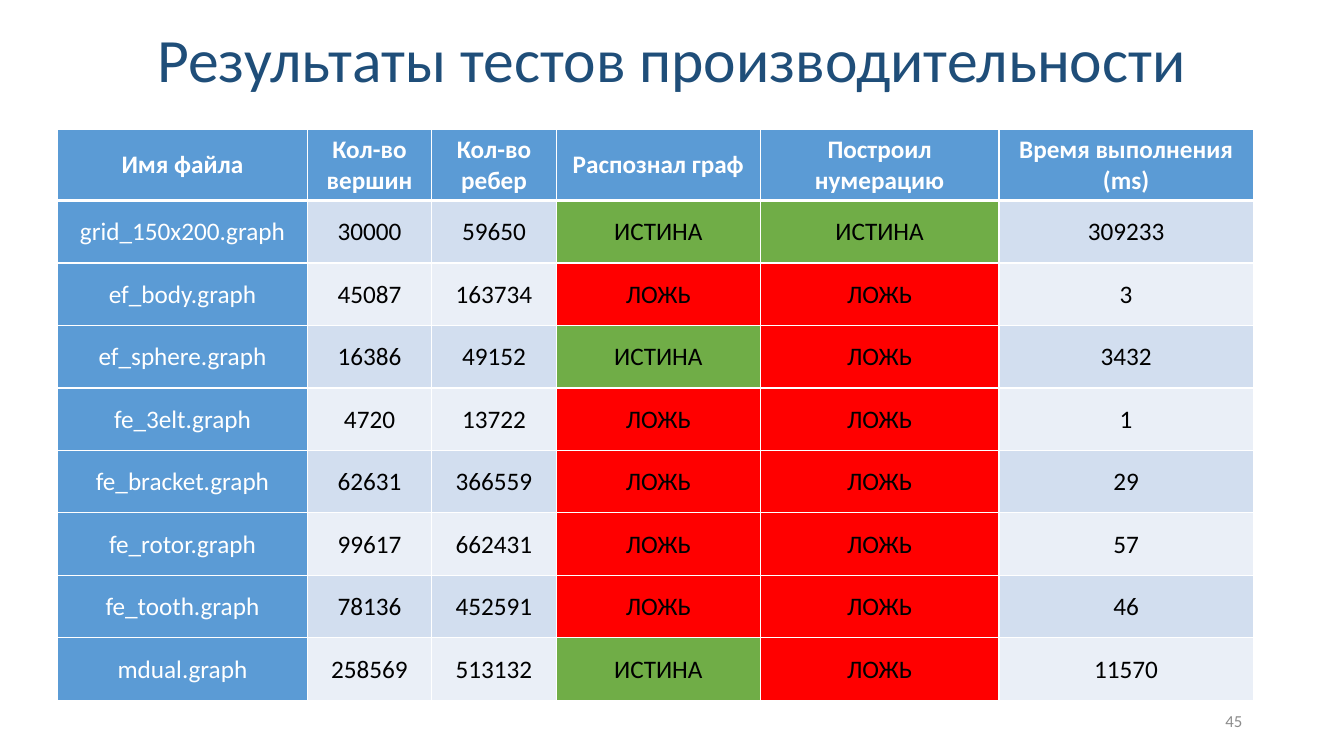
import lxml.etree
import pptx
import pptx.dml.color
import pptx.enum.text
import pptx.oxml.ns
import pptx.util

Inches = pptx.util.Inches
Pt = pptx.util.Pt
ALIGN = pptx.enum.text.PP_ALIGN
MIDDLE = pptx.enum.text.MSO_ANCHOR.MIDDLE
COLORS = {
    "title": "1F4E79",
    "header": "5B9BD5",
    "odd": "D2DEEF",
    "even": "EAEFF7",
    "ИСТИНА": "70AD47",
    "ЛОЖЬ": "FF0000",
    "white": "FFFFFF",
    "black": "000000",
    "page": "8C8C8C",
}


def style_text(paragraph, size, color, align, bold=False):
    paragraph.alignment = align
    paragraph.font.name = "Calibri"
    paragraph.font.size = Pt(size)
    paragraph.font.bold = bold
    paragraph.font.color.rgb = pptx.dml.color.RGBColor.from_string(COLORS[color])


def add_border(cell, side, width):
    qn = pptx.oxml.ns.qn
    properties = cell._tc.get_or_add_tcPr()
    line = lxml.etree.SubElement(properties, qn(f"a:ln{side}"), w=str(Pt(width)))
    fill = lxml.etree.SubElement(line, qn("a:solidFill"))
    lxml.etree.SubElement(fill, qn("a:srgbClr"), val=COLORS["white"])


presentation = pptx.Presentation()
presentation.slide_width = Inches(13.33)
presentation.slide_height = Inches(7.5)
slide = presentation.slides.add_slide(presentation.slide_layouts[5])

title = slide.shapes.title
title.left, title.top = Inches(0), Inches(0.22)
title.width, title.height = Inches(13.33), Inches(0.8)
title.text_frame.text = "Результаты тестов производительности"
title.text_frame.vertical_anchor = MIDDLE
title.text_frame.paragraphs[0].line_spacing = 0.9
style_text(title.text_frame.paragraphs[0], 44, "title", ALIGN.CENTER)

results = [
    ["Имя файла", "Кол-во вершин", "Кол-во ребер", "Распознал граф",
     "Построил нумерацию", "Время выполнения (ms)"],
    ["grid_150x200.graph", "30000", "59650", "ИСТИНА", "ИСТИНА", "309233"],
    ["ef_body.graph", "45087", "163734", "ЛОЖЬ", "ЛОЖЬ", "3"],
    ["ef_sphere.graph", "16386", "49152", "ИСТИНА", "ЛОЖЬ", "3432"],
    ["fe_3elt.graph", "4720", "13722", "ЛОЖЬ", "ЛОЖЬ", "1"],
    ["fe_bracket.graph", "62631", "366559", "ЛОЖЬ", "ЛОЖЬ", "29"],
    ["fe_rotor.graph", "99617", "662431", "ЛОЖЬ", "ЛОЖЬ", "57"],
    ["fe_tooth.graph", "78136", "452591", "ЛОЖЬ", "ЛОЖЬ", "46"],
    ["mdual.graph", "258569", "513132", "ИСТИНА", "ЛОЖЬ", "11570"],
]
column_widths = [2.48, 1.23, 1.24, 2.02, 2.37, 2.52]
benchmark = slide.shapes.add_table(
    len(results), len(column_widths),
    Inches(0.57), Inches(1.28), Inches(11.84), Inches(5.67)).table
for column, width in zip(benchmark.columns, column_widths):
    column.width = Inches(width)

for row_index, values in enumerate(results):
    is_header = row_index == 0
    benchmark.rows[row_index].height = Inches(0.71 if is_header else 0.62)
    band = "odd" if row_index % 2 else "even"
    for column_index, value in enumerate(values):
        is_label = is_header or column_index == 0
        cell = benchmark.cell(row_index, column_index)
        cell.text = value
        cell.vertical_anchor = MIDDLE
        cell.margin_left = cell.margin_right = cell.margin_top = Inches(0.01)
        cell.margin_bottom = Inches(0)
        style_text(cell.text_frame.paragraphs[0], 18,
                   "white" if is_label else "black", ALIGN.CENTER, is_header)
        add_border(cell, "L", 1)
        add_border(cell, "R", 1)
        add_border(cell, "T", 3 if row_index == 1 else 1)
        add_border(cell, "B", 3 if is_header else 1)
        fill_color = COLORS["header"] if is_label else COLORS.get(value, COLORS[band])
        cell.fill.solid()
        cell.fill.fore_color.rgb = pptx.dml.color.RGBColor.from_string(fill_color)

page_number = slide.shapes.add_textbox(
    Inches(9.42), Inches(6.95), Inches(3), Inches(0.4)).text_frame
page_number.word_wrap = True
page_number.vertical_anchor = MIDDLE
page_number.text = "45"
style_text(page_number.paragraphs[0], 12, "page", ALIGN.RIGHT)

presentation.save("out.pptx")
